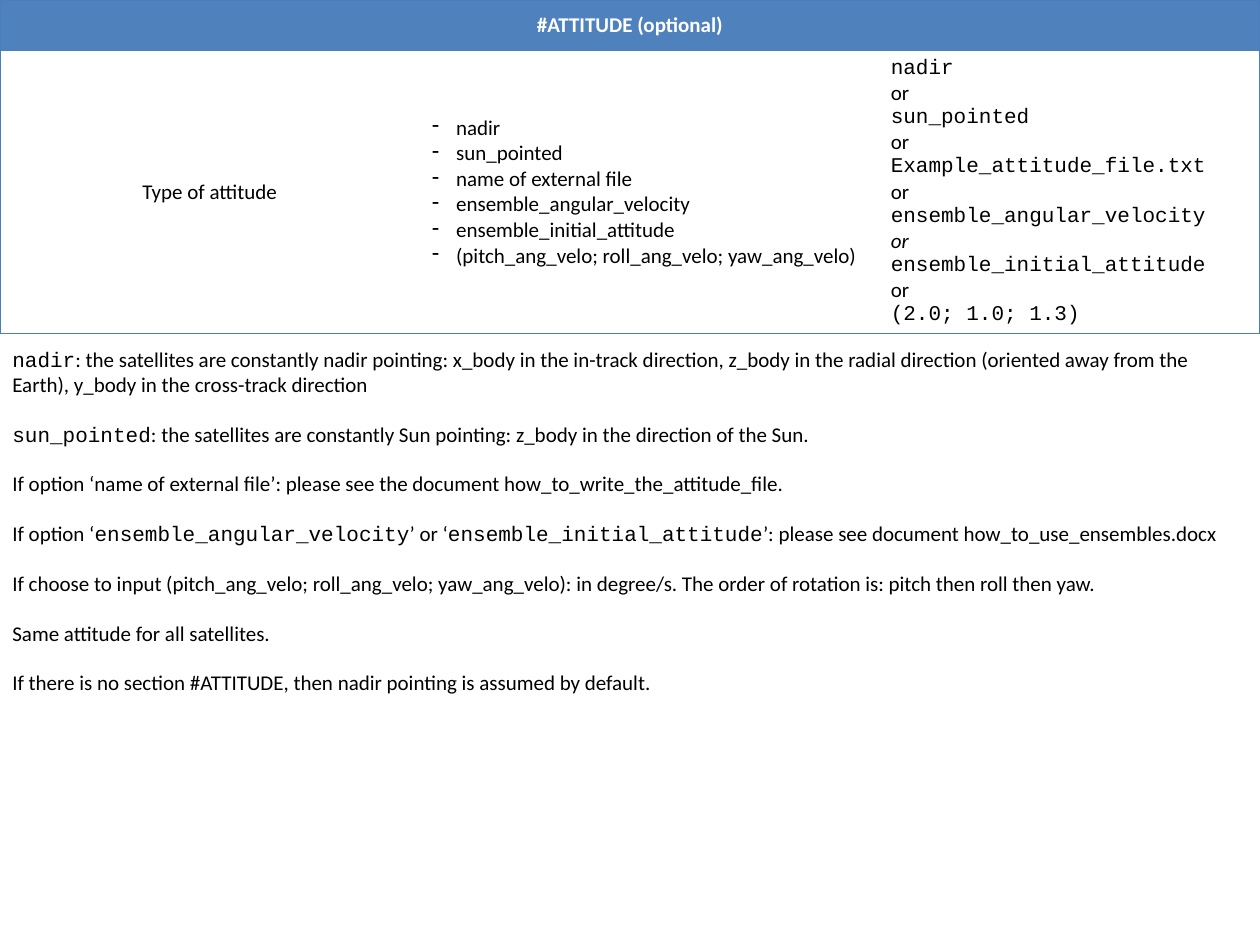
from pptx import Presentation
from pptx.dml.color import RGBColor
from pptx.enum.text import MSO_ANCHOR, MSO_AUTO_SIZE, PP_ALIGN
from pptx.oxml.ns import qn
from pptx.util import Inches, Pt
from lxml.etree import SubElement

BLUE = RGBColor(0x4F, 0x81, 0xBD)
EDGE = RGBColor(0x4B, 0x7E, 0xBC)
WHITE = RGBColor(0xFF, 0xFF, 0xFF)
BLACK = RGBColor(0, 0, 0)
SANS, MONO = "Calibri", "Courier New"
PLAIN = "{2D5ABB26-0587-4C30-8999-92F81FD0307C}"

TITLE = "#ATTITUDE (optional)"
LABEL = "Type of attitude"
KINDS = [
    "nadir",
    "sun_pointed",
    "name of external file",
    "ensemble_angular_velocity",
    "ensemble_initial_attitude",
    "(pitch_ang_velo; roll_ang_velo; yaw_ang_velo)",
]
SAMPLES = [
    ("nadir", MONO, False),
    ("or", SANS, False),
    ("sun_pointed", MONO, False),
    ("or", SANS, False),
    ("Example_attitude_file.txt", MONO, False),
    ("or", SANS, False),
    ("ensemble_angular_velocity", MONO, False),
    ("or", SANS, True),
    ("ensemble_initial_attitude", MONO, False),
    ("or", SANS, False),
    ("(2.0; 1.0; 1.3)", MONO, False),
]
NOTES = [
    [("nadir", MONO),
     (": the satellites are constantly nadir pointing: x_body in the in-track "
      "direction, z_body in the radial direction (oriented away from the Earth), "
      "y_body in the cross-track direction", SANS)],
    [("sun_pointed", MONO),
     (": the satellites are constantly Sun pointing: z_body in the direction "
      "of the Sun.", SANS)],
    [("If option ‘name of external file’: please see the document "
      "how_to_write_the_attitude_file.", SANS)],
    [("If option ‘", SANS), ("ensemble_angular_velocity", MONO),
     ("’ or ‘", SANS), ("ensemble_initial_attitude", MONO),
     ("’: please see document how_to_use_ensembles.docx", SANS)],
    [("If choose to input (pitch_ang_velo; roll_ang_velo; yaw_ang_velo): in "
      "degree/s. The order of rotation is: pitch then roll then yaw.", SANS)],
    [("Same attitude for all satellites.", SANS)],
    [("If there is no section #ATTITUDE, then nadir pointing is assumed by "
      "default.", SANS)],
]
COLS = [3.33, 3.64, 3.03]
ROWS = [0.4, 2.24]


def style(font, name=SANS, color=BLACK, bold=False, slant=False):
    font.name, font.size, font.color.rgb = name, Pt(12), color
    font.bold, font.italic = bold, slant


def lines(frame, count):
    for _ in range(count - 1):
        frame.add_paragraph()
    return frame.paragraphs


def dash(para):
    props = para._p.get_or_add_pPr()
    props.set("marL", str(Inches(0.19)))
    props.set("indent", str(-Inches(0.19)))
    SubElement(props, qn("a:buFontTx"))
    SubElement(props, qn("a:buChar")).set("char", "-")


def border(cell, sides):
    props = cell._tc.get_or_add_tcPr()
    for side in sides:
        line = SubElement(props, qn("a:ln" + side))
        line.set("w", str(Pt(0.75)))
        fill = SubElement(line, qn("a:solidFill"))
        SubElement(fill, qn("a:srgbClr")).set("val", str(EDGE))


deck = Presentation()
deck.slide_width, deck.slide_height = Inches(10), Inches(7.5)
slide = deck.slides.add_slide(deck.slide_layouts[6])

table = slide.shapes.add_table(
    2, 3, 0, 0, Inches(sum(COLS)), Inches(sum(ROWS))).table
table._tbl.tblPr.find(qn("a:tableStyleId")).text = PLAIN
table.horz_banding = False
for col, width in zip(table.columns, COLS):
    col.width = Inches(width)
for row, height in zip(table.rows, ROWS):
    row.height = Inches(height)
head = table.cell(0, 0)
head.merge(table.cell(0, 2))

EDGES = [["LRTB", "TB", "RTB"], ["LTB", "TB", "RTB"]]
for r, row in enumerate(EDGES):
    for c, sides in enumerate(row):
        cell = table.cell(r, c)
        border(cell, sides)
        cell.vertical_anchor = MSO_ANCHOR.MIDDLE
        if r == 0:
            cell.fill.solid()
            cell.fill.fore_color.rgb = BLUE
        else:
            cell.fill.background()

label, kinds, samples = (table.cell(1, c) for c in range(3))
for cell, text, color, bold in [(head, TITLE, WHITE, True),
                                (label, LABEL, BLACK, False)]:
    para = cell.text_frame.paragraphs[0]
    para.text, para.alignment = text, PP_ALIGN.CENTER
    style(para.font, color=color, bold=bold)
for para, text in zip(lines(kinds.text_frame, len(KINDS)), KINDS):
    para.text = text
    dash(para)
    style(para.font)
for para, (text, name, slant) in zip(
        lines(samples.text_frame, len(SAMPLES)), SAMPLES):
    para.text = text
    style(para.font, name, slant=slant)

box = slide.shapes.add_textbox(0, Inches(2.7), Inches(10), Inches(3.13))
frame = box.text_frame
frame.word_wrap = True
frame.auto_size = MSO_AUTO_SIZE.SHAPE_TO_FIT_TEXT
for i, (para, parts) in enumerate(zip(lines(frame, len(NOTES)), NOTES)):
    if i:
        para.space_before = Pt(14)
    for text, name in parts:
        run = para.add_run()
        run.text = text
        style(run.font, name)

deck.save("out.pptx")
